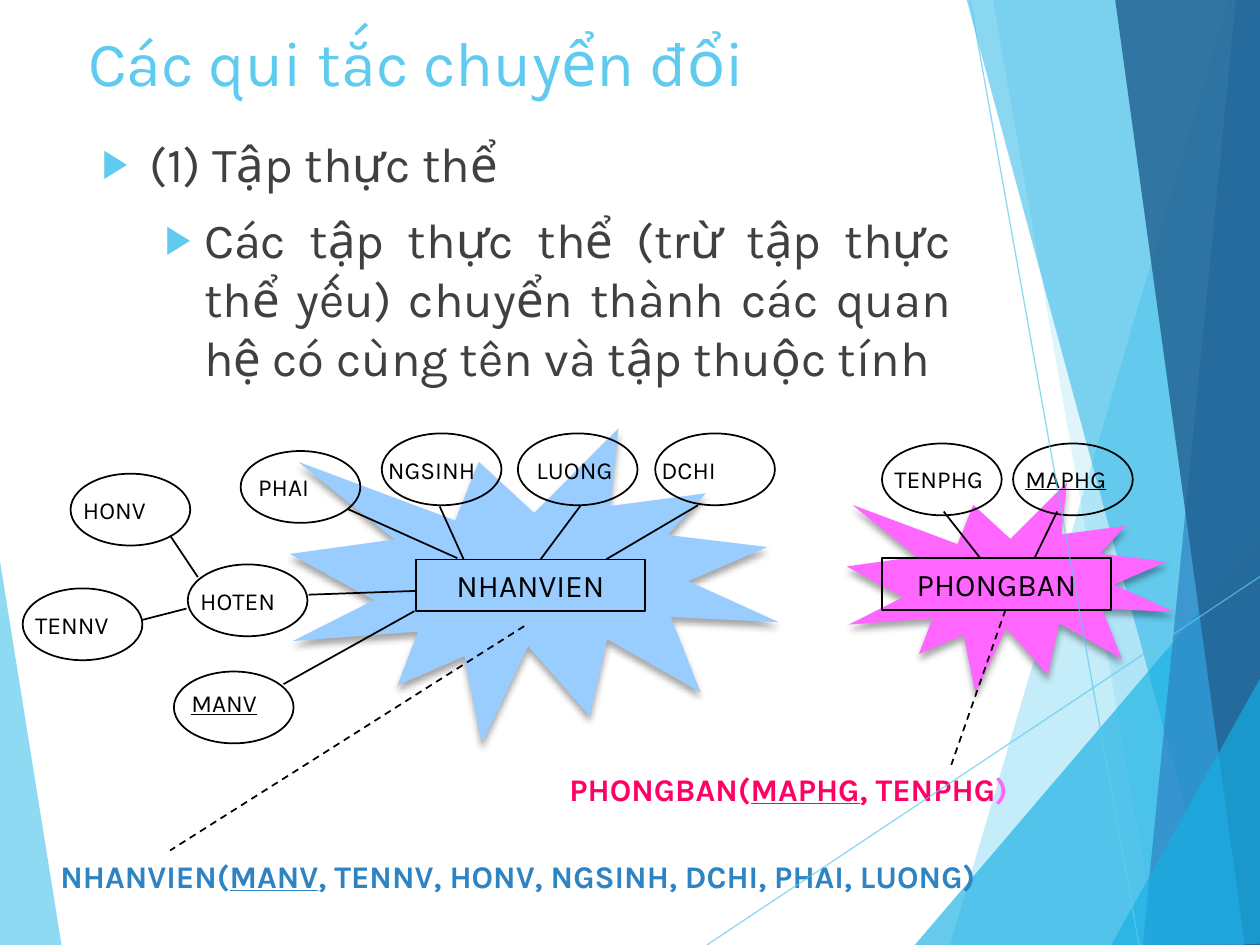
"""Build a slide on turning entity sets into relations."""
from lxml.etree import SubElement
from pptx import Presentation
from pptx.dml.color import RGBColor
from pptx.enum.dml import MSO_LINE
from pptx.enum.shapes import MSO_CONNECTOR, MSO_SHAPE
from pptx.enum.text import MSO_ANCHOR, MSO_AUTO_SIZE, PP_ALIGN
from pptx.oxml.ns import qn
from pptx.util import Inches, Pt


def paint(fill, hue, alpha=100, node=None):
    fill.solid()
    fill.fore_color.rgb = RGBColor.from_string(hue)
    if alpha < 100:
        color = next(node.iter(qn("a:srgbClr")))
        SubElement(color, qn("a:alpha"), val=str(alpha * 1000))


def write(frame, text, size=14, hue="000000", bold=False, under=False, align=PP_ALIGN.LEFT):
    frame.word_wrap = True
    para = frame.paragraphs[-1]
    para.alignment = align
    run = para.add_run()
    run.text = text
    font = run.font
    font.name, font.size, font.bold, font.underline = "Karla", Pt(size), bold, under
    paint(font.fill, hue)


deck = Presentation()
deck.slide_width, deck.slide_height = Inches(10), Inches(7.5)
slide = deck.slides.add_slide(deck.slide_layouts[1])
shapes = slide.shapes

facets = [
    ("5FCBEF", 70, [(-0.01, 4.39), (0.49, 7.51), (-0.01, 7.5)]),
    ("5FCBEF", 36, [(9.75, 0), (7.54, 7.5), (10.02, 7.51), (10.01, 0.01)]),
    ("5FCBEF", 20, [(7.88, -0.01), (9.19, 7.5), (10.01, 7.5), (10.01, -0.01)]),
    ("17B0E4", 66, [(7.26, 7.5), (10, 4.29), (10.01, 7.5)]),
    ("17B0E4", 50, [(7.67, -0.01), (9.7, 7.5), (10.01, 7.49), (10.01, -0.01)]),
    ("2E83C3", 70, [(9.81, -0.01), (9.07, 7.5), (10.01, 7.5), (10, -0.01)]),
    ("226292", 82, [(8.85, -0.01), (9.88, 7.5), (10.02, 7.5), (10, -0.01)]),
    ("17B0E4", 66, [(8.82, 7.5), (10.02, 5.35), (10.02, 7.49)]),
]
for hue, alpha, points in facets:
    spots = [(Inches(x), Inches(y)) for x, y in points]
    pen = shapes.build_freeform(*spots[0])
    pen.add_line_segments(spots[1:], close=True)
    facet = pen.convert_to_shape()
    facet.shadow.inherit = False
    facet.line.fill.background()
    paint(facet.fill, hue, alpha, facet.element)

title, body = shapes.title, slide.placeholders[1]
for holder, box in ((title, (0.6, 0.14, 6.94, 0.84)), (body, (0.71, 1.01, 6.94, 4.24))):
    holder.left, holder.top, holder.width, holder.height = map(Inches, box)
    holder.element.getparent().append(holder.element)
    holder.text_frame.auto_size = MSO_AUTO_SIZE.NONE
    holder.text_frame.vertical_anchor = MSO_ANCHOR.TOP
write(title.text_frame, "Các qui tắc chuyển đổi", size=36, hue="5FCBEF")

items = [
    ("(1) Tập thực thể", 0.38, -0.38, 0, PP_ALIGN.LEFT),
    ("Các tập thực thể (trừ tập thực thể yếu) chuyển thành các quan hệ có cùng tên "
     "và tập thuộc tính", 0.81, -0.31, 10, PP_ALIGN.JUSTIFY),
]
for level, (text, left, hang, gap, align) in enumerate(items):
    para = body.text_frame.add_paragraph() if level else body.text_frame.paragraphs[0]
    para.level, para.space_before = level, Pt(gap)
    props = para._p.get_or_add_pPr()
    props.set("marL", str(Inches(left)))
    props.set("indent", str(Inches(hang)))
    SubElement(SubElement(props, qn("a:buClr")), qn("a:srgbClr"), val="5FCBEF")
    SubElement(props, qn("a:buSzPct"), val="80000")
    SubElement(props, qn("a:buFont"), typeface="Arial")
    SubElement(props, qn("a:buChar"), char="▶")
    write(body.text_frame, text, size=28, hue="404040", align=align)

for hue, box in (("FF66FF", (6.72, 3.83, 2.6, 1.67)), ("99CCFF", (2.3, 3.4, 3.88, 2.5))):
    burst = shapes.add_shape(MSO_SHAPE.EXPLOSION1, *map(Inches, box))
    paint(burst.fill, hue)
    burst.line.fill.background()
    burst.shadow.inherit = False
    effect = burst.element.spPr.find(qn("a:effectLst"))
    shade = SubElement(effect, qn("a:outerShdw"), blurRad=str(Pt(4)), dist=str(Pt(3)),
                       dir="5400000", rotWithShape="0")
    black = SubElement(shade, qn("a:srgbClr"), val="000000")
    SubElement(black, qn("a:alpha"), val="35000")

rect, oval = MSO_SHAPE.RECTANGLE, MSO_SHAPE.OVAL
nodes = [
    (rect, "NHANVIEN", 3.3, 4.44, 0, 0, 0),
    (rect, "PHONGBAN", 7, 4.43, 0, 0, 0),
    (oval, "TENNV", 0.18, 4.67, 0, 0.12, 0.95),
    (oval, "NGSINH", 3.03, 3.44, -0.05, 0.12, 1.04),
    (oval, "DCHI", 5.2, 3.44, -0.05, 0.12, 0.95),
    (oval, "PHAI", 1.91, 3.58, 0.04, 0.12, 0.87),
    (oval, "LUONG", 4.11, 3.44, 0.05, 0.12, 0.87),
    (oval, "HONV", 0.56, 3.76, 0, 0.12, 0.95),
    (oval, "HOTEN", 1.49, 4.48, 0, 0.12, 0.95),
    (oval, "MANV", 1.38, 5.33, 0.04, 0.08, 0.87),
    (oval, "MAPHG", 8.04, 3.52, 0, 0.11, 1.04),
    (oval, "TENPHG", 7, 3.52, 0, 0.11, 1.04),
]
for kind, name, x, y, dx, dy, width in nodes:
    size = (1.82, 0.41) if kind == rect else (0.95, 0.57)
    node = shapes.add_shape(kind, *map(Inches, (x, y, *size)))
    node.shadow.inherit = False
    node.fill.background()
    node.line.width = Pt(1)
    paint(node.line.fill, "000000")
    if kind == rect:
        write(node.text_frame, name, size=18, align=PP_ALIGN.CENTER)
    else:
        label = shapes.add_textbox(*map(Inches, (x + dx, y + dy, width, 0.33)))
        write(label.text_frame, name, under=name in ("MANV", "MAPHG"))

blue, pink = "2E83C3", "FF0066"
schemas = [
    ((0.38, 6.75, 8.91, 0.4), [("NHANVIEN(", blue, False), ("MANV", blue, True),
     (", TENNV, HONV, NGSINH, DCHI, PHAI, LUONG)", blue, False)]),
    ((4.42, 6.06, 4.08, 0.4), [("PHONGBAN(", pink, False), ("MAPHG", pink, True),
     (", TENPHG", pink, False), (")", "FF66FF", False)]),
]
for box, parts in schemas:
    schema = shapes.add_textbox(*map(Inches, box))
    for text, hue, under in parts:
        write(schema.text_frame, text, size=18, hue=hue, bold=True, under=under)

thin = ("5FCBEF", 0.75, 70, MSO_LINE.SOLID)
solid = ("000000", 1, 100, MSO_LINE.SOLID)
dash = ("000000", 1, 100, MSO_LINE.DASH)
links = [
    (thin, [(5.61, 7.5, 10.01, 4.57), (7.7, 0, 9.04, 7.5)]),
    (solid, [(3.63, 4.43, 2.76, 4.04), (1.48, 4.83, 1.13, 4.92), (1.57, 4.58, 1.35, 4.25),
             (3.68, 4.44, 3.49, 4.02), (4.29, 4.44, 4.61, 4.01), (4.81, 4.44, 5.54, 4.01),
             (3.29, 4.85, 2.25, 5.43), (8.39, 4.06, 8.21, 4.43), (7.49, 4.06, 7.78, 4.43),
             (3.3, 4.69, 2.45, 4.72)]),
    (dash, [(4.16, 4.97, 1.35, 6.75), (7.98, 4.84, 7.55, 6.07)]),
]
for (hue, weight, alpha, style), ends in links:
    for end in ends:
        link = shapes.add_connector(MSO_CONNECTOR.STRAIGHT, *map(Inches, end))
        link.line.width = Pt(weight)
        paint(link.line.fill, hue, alpha, link.element)
        link.line.dash_style = style
        SubElement(link.element.spPr, qn("a:effectLst"))

deck.save("out.pptx")
